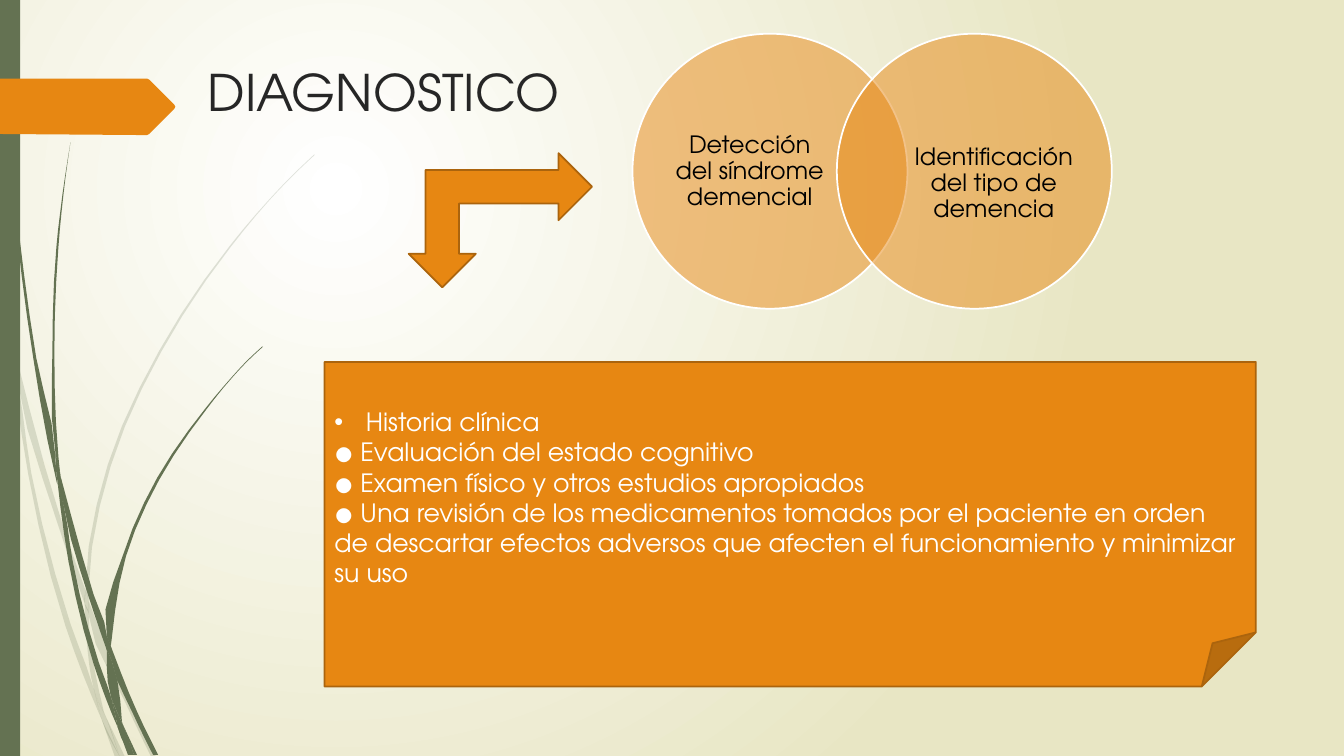
from lxml import etree
from pptx import Presentation
from pptx import util as u
from pptx.dml.color import RGBColor
from pptx.enum import shapes, text
from pptx.oxml import ns, parse_xml

COLORS = {
    "orange": "E78712", "brown": "AB640D", "green": "647252",
    "white": "FFFFFF", "cream": "E8E6C4", "ink": "262626", "black": "000000",
}
INCH_HUNDREDTH = u.Cm(0.0254)
SUBSTEPS = 3

PALE_BLADES = [
    ([(11, 350), (9, 322), (0, 282)], [(0, 299), (10, 344), (11, 350)]),
    ([(14, 345), (17, 376), (58, 522), (84, 599)], [(85, 586), (62, 520), (14, 345)]),
    ([(88, 596), (88, 610), (123, 694), (150, 751)],
     [(155, 751), (127, 692), (92, 607), (88, 596)]),
    ([(105, 711), (119, 751)], [(124, 751), (105, 711)]),
    ([(11, 350), (28, 470), (65, 621), (92, 693), (101, 714)],
     [(99, 707), (93, 683), (70, 619), (31, 469), (17, 376), (11, 350)]),
    ([(84, 599), (87, 646), (93, 683), (96, 692), (105, 711)],
     [(103, 706), (91, 646), (88, 610), (88, 608), (84, 599)]),
    ([(312, 153), (289, 175), (268, 197), (228, 244), (158, 348), (107, 461), (85, 584), (85, 586)],
     [(88, 596), (88, 584), (110, 462), (160, 349), (229, 245), (268, 198), (290, 175), (312, 154)]),
    ([(101, 714), (114, 751)], [(119, 751), (101, 714)]),
    ([(85, 586), (84, 599), (88, 608)], [(88, 610), (88, 596), (85, 586)]),
    ([(93, 683), (99, 707), (101, 714), (119, 751)],
     [(119, 751), (105, 711), (96, 692), (93, 683)]),
]
DARK_BLADES = [
    ([(3, 0), (4, 48), (7, 110), (17, 233), (33, 355), (56, 477), (57, 481)],
     [(55, 457), (55, 453), (36, 355), (19, 232), (8, 109), (5, 48), (4, 0)]),
    ([(60, 472), (64, 505), (88, 592), (106, 645)],
     [(106, 633), (106, 631), (93, 590), (60, 472)]),
    ([(110, 641), (111, 656), (132, 708), (152, 749)],
     [(157, 749), (136, 706), (113, 649), (110, 641)]),
    ([(57, 477), (68, 557), (93, 659), (111, 708), (117, 722)],
     [(116, 717), (110, 691), (98, 657), (72, 556), (64, 505), (57, 477)]),
    ([(70, 141), (62, 193), (56, 245), (52, 349), (55, 449), (60, 472)],
     [(60, 472), (58, 453), (54, 349), (58, 245), (63, 193), (70, 141)]),
    ([(122, 719), (133, 749)], [(136, 749), (122, 719)]),
    ([(55, 449), (55, 453), (57, 477), (64, 505)], [(64, 505), (60, 472), (55, 449)]),
    ([(260, 344), (245, 358), (231, 373), (204, 405), (156, 474), (122, 551), (106, 631), (110, 641)],
     [(111, 633), (125, 552), (158, 476), (205, 406), (231, 374), (245, 359), (261, 344)]),
    ([(117, 722), (127, 749)], [(131, 749), (117, 722)]),
    ([(106, 645), (110, 691), (116, 706), (122, 719)],
     [(121, 716), (111, 656), (109, 651), (106, 645)]),
    ([(106, 631), (106, 645), (109, 651), (111, 656)], [(111, 656), (110, 641), (106, 631)]),
    ([(110, 691), (116, 717), (117, 722), (130, 749)],
     [(133, 749), (122, 719), (116, 706), (110, 691)]),
]
MARKER = [(0, 78), (146, 78), (148, 79), (173, 104), (174, 106), (173, 108),
          (148, 133), (146, 134), (136, 134), (0, 133)]
CIRCLES = [
    (15.94, 16.89, 1.68, "Detección del síndrome demencial"),
    (21.09, 23.04, 1.65, " Identificación del tipo de demencia"),
]
STUDIES = [
    "Historia clínica",
    "● Evaluación del estado cognitivo",
    "● Examen físico y otros estudios apropiados",
    "● Una revisión de los medicamentos tomados por el paciente en orden de descartar "
    "efectos adversos que afecten el funcionamiento y minimizar su uso",
]


def color(name):
    return RGBColor.from_string(COLORS[name])


def smooth(points):
    if len(points) == 2:
        return points
    knots = [complex(*point) for point in points]
    chords = [b - a for a, b in zip(knots, knots[1:])]
    slopes = [chord / abs(chord) for chord in chords]
    inner = [(abs(c) * t + abs(d) * s) / (abs(c) + abs(d))
             for c, d, s, t in zip(chords, chords[1:], slopes, slopes[1:])]
    tangents = [1.5 * slopes[0] - 0.5 * inner[0], *inner, 1.5 * slopes[-1] - 0.5 * inner[-1]]
    curve = []
    for start, chord, m, n in zip(knots, chords, tangents, tangents[1:]):
        for step in range(SUBSTEPS):
            t = step / SUBSTEPS
            bend = abs(chord) * t * (1 - t) * (m * (1 - t) - n * t)
            spot = start + chord * t * t * (3 - 2 * t) + bend
            curve.append((spot.real, spot.imag))
    return curve + [points[-1]]


class SlideBuilder:
    font = "TeX Gyre Adventor"

    def __init__(self, deck):
        self.page = deck.slides.add_slide(deck.slide_layouts[5])

    def background(self, center, edge):
        fill = self.page.background.fill
        fill.gradient()
        for stop, name, position in zip(fill.gradient_stops, (center, edge), (0, 1)):
            stop.color.rgb = color(name)
            stop.position = position
        gradient = self.page.element.find(".//" + ns.qn("a:gradFill"))
        linear = gradient.find(ns.qn("a:lin"))
        gradient.replace(linear, parse_xml(
            f'<a:path {ns.nsdecls("a")} path="circle">'
            '<a:fillToRect l="50000" t="50000" r="100000" b="100000"/></a:path>'))

    def paint(self, shape, fill, line=None, opacity=None):
        shape.shadow.inherit = False
        shape.fill.solid()
        shape.fill.fore_color.rgb = color(fill)
        if opacity:
            solid = shape.element.spPr.find(ns.qn("a:solidFill"))
            etree.SubElement(solid[0], ns.qn("a:alpha"), val=str(opacity * 1000))
        if line:
            shape.line.color.rgb = color(line)
            shape.line.width = u.Pt(1.25)
        else:
            shape.line.fill.background()
        return shape

    def outline(self, points, fill, opacity=None):
        corners = [(x * 10, y * 10) for x, y in points]
        builder = self.page.shapes.build_freeform(*corners[0], scale=INCH_HUNDREDTH / 10)
        builder.add_line_segments(corners[1:], close=True)
        self.paint(builder.convert_to_shape(), fill, opacity=opacity)

    def blades(self, edges, opacity=None):
        for outward, back in edges:
            self.outline(smooth(outward) + smooth(back), "green", opacity)

    def shape(self, kind, place, fill, line=None, opacity=None):
        box = self.page.shapes.add_shape(kind, *map(u.Cm, place))
        return self.paint(box, fill, line, opacity)

    def format(self, paragraph, size, name, align=text.PP_ALIGN.LEFT):
        paragraph.alignment = align
        for span in paragraph.runs:
            span.font.name = self.font
            span.font.size = u.Pt(size)
            span.font.color.rgb = color(name)

    def title(self, words, place):
        box = self.page.shapes.title
        box.left, box.top, box.width, box.height = map(u.Cm, place)
        frame = box.text_frame
        frame.text = words
        frame.vertical_anchor = text.MSO_ANCHOR.TOP
        self.format(frame.paragraphs[0], 36, "ink")

    def label(self, words, place):
        frame = self.page.shapes.add_textbox(*map(u.Cm, place)).text_frame
        frame.word_wrap = True
        frame.vertical_anchor = text.MSO_ANCHOR.MIDDLE
        frame.margin_left = frame.margin_right = frame.margin_top = frame.margin_bottom = 0
        frame.text = words
        frame.paragraphs[0].line_spacing = 0.9
        self.format(frame.paragraphs[0], 17, "black", text.PP_ALIGN.CENTER)

    def note(self, lines, place):
        box = self.shape(shapes.MSO_SHAPE.FOLDED_CORNER, place, "orange", "brown")
        frame = box.text_frame
        frame.word_wrap = True
        frame.vertical_anchor = text.MSO_ANCHOR.MIDDLE
        frame.text = "\n".join(lines)
        for paragraph in frame.paragraphs:
            self.format(paragraph, 18, "white")
        indent = u.Cm(0.79)
        properties = frame.paragraphs[0]._p.get_or_add_pPr()
        properties.set("marL", str(indent))
        properties.set("indent", str(-indent))
        etree.SubElement(properties, ns.qn("a:buFont"), typeface="Arial")
        etree.SubElement(properties, ns.qn("a:buChar"), char="•")


def main():
    deck = Presentation()
    deck.slide_width, deck.slide_height = u.Cm(33.87), u.Cm(19.05)
    slide = SlideBuilder(deck)
    kinds = shapes.MSO_SHAPE

    slide.background("white", "cream")
    slide.blades(PALE_BLADES, opacity=20)
    slide.blades(DARK_BLADES)
    slide.shape(kinds.RECTANGLE, (0, 0, 0.51, 19.05), "green")
    slide.outline(MARKER, "orange")
    slide.title("DIAGNOSTICO", (4.98, 1.42, 24.77, 3.56))

    for circle_left, label_left, label_top, words in CIRCLES:
        slide.shape(kinds.OVAL, (circle_left, 0.85, 6.93, 6.93), "orange", "white", 50)
        slide.label(words, (label_left, label_top, 4.01, 5.31))

    slide.note(STUDIES, (8.18, 9.12, 23.47, 8.18))
    arrow = slide.shape(kinds.LEFT_UP_ARROW, (10.3, 3.86, 4.62, 3.38), "orange", "brown")
    arrow.rotation = 180
    deck.save("out.pptx")


if __name__ == "__main__":
    main()
